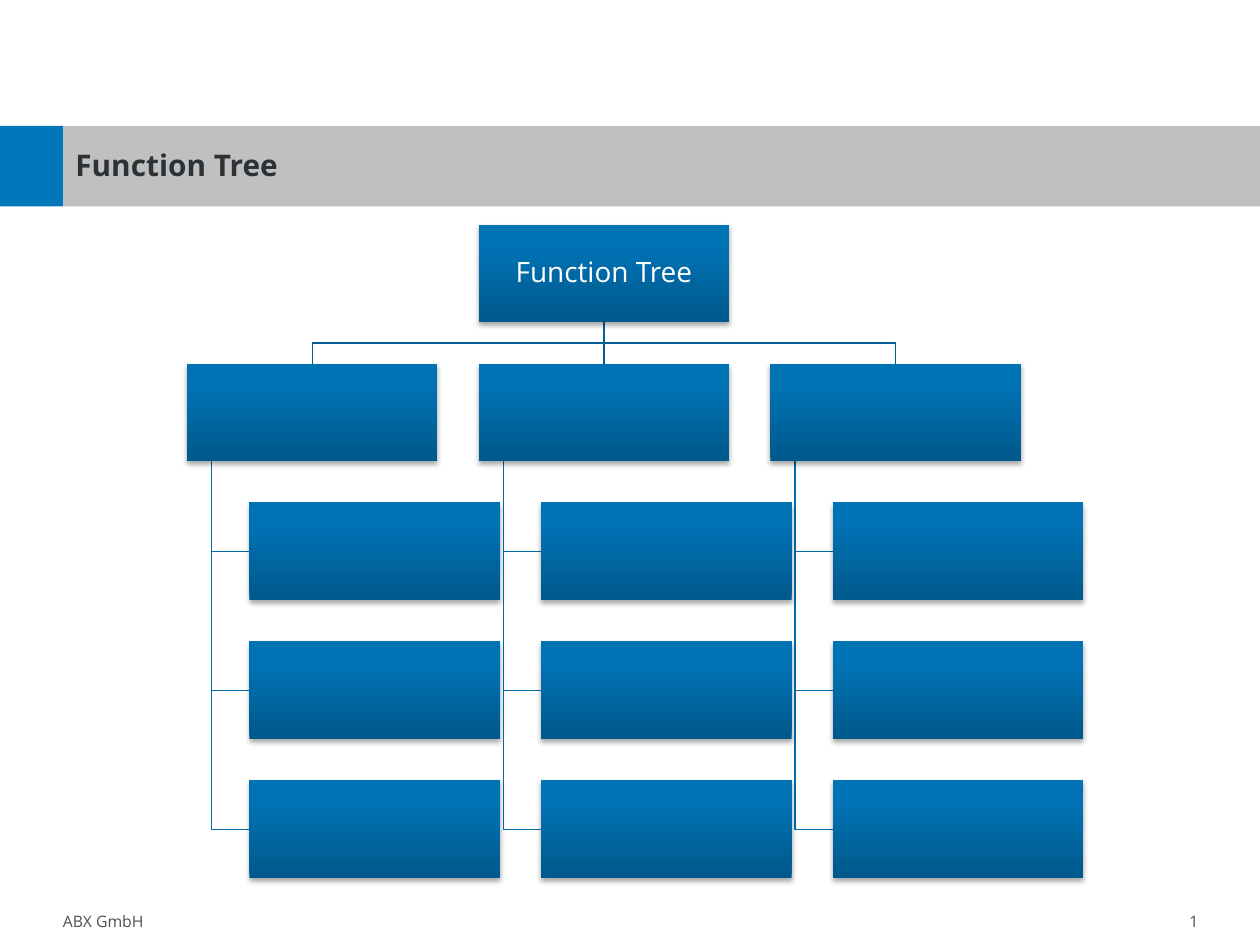
from lxml import etree
from pptx import Presentation
from pptx.dml.color import RGBColor
from pptx.enum import shapes, text
from pptx.util import Cm, Pt

NS = "http://schemas.openxmlformats.org/drawingml/2006/main"
BLUE, GREY, STEM, FORK = "0077BB", "C0C0C0", "006CAA", "005F96"
LEFT, MID, RIGHT = text.PP_ALIGN.LEFT, text.PP_ALIGN.CENTER, text.PP_ALIGN.RIGHT


def rgb(code):
    return RGBColor.from_string(code)


def grad_xml(stops, angle):
    marks = "".join(f'<a:gs pos="{pos * 1000}"><a:srgbClr val="{code}"/></a:gs>'
                    for pos, code in stops)
    return etree.fromstring(f'<a:gradFill xmlns:a="{NS}" rotWithShape="1"><a:gsLst>{marks}'
                            f'</a:gsLst><a:lin ang="{angle * 60000}" scaled="0"/></a:gradFill>')


def shade_xml(blur, dist, alpha):
    return etree.fromstring(
        f'<a:outerShdw xmlns:a="{NS}" blurRad="{Pt(blur)}" dist="{Pt(dist)}" dir="5400000" '
        f'rotWithShape="0"><a:srgbClr val="000000"><a:alpha val="{alpha * 1000}"/>'
        '</a:srgbClr></a:outerShdw>')


class Page:
    """Holds the style and the current slide; lengths are in cm."""
    font = "Open Sans"
    stops = [(0, "00598C"), (80, "0073B5"), (100, "0074B6")]

    def __init__(self, slide):
        self.shapes = slide.shapes

    def words(self, shape, words, size, color, align=LEFT, bold=False, space=None):
        frame = shape.text_frame
        frame.word_wrap = True
        frame.vertical_anchor = text.MSO_ANCHOR.MIDDLE
        frame.text = words
        para = frame.paragraphs[0]
        para.alignment, para.line_spacing = align, space
        font = para.runs[0].font
        font.name, font.size, font.bold = self.font, Pt(size), bold
        font.color.rgb = rgb(color)

    def label(self, x, y, w, h, words, size, color, **kw):
        box = self.shapes.add_textbox(Cm(x), Cm(y), Cm(w), Cm(h))
        self.words(box, words, size, color, **kw)

    def rect(self, x, y, w, h, fill):
        box = self.shapes.add_shape(shapes.MSO_SHAPE.RECTANGLE, Cm(x), Cm(y), Cm(w), Cm(h))
        box.shadow.inherit = False
        box.fill.solid()
        box.fill.fore_color.rgb = rgb(fill)
        box.line.fill.background()
        return box

    def node(self, x, y, w, h, words=""):
        box = self.rect(x, y, w, h, BLUE)
        props = box._element.spPr
        solid = props.find(f"{{{NS}}}solidFill")
        props.replace(solid, grad_xml(self.stops, 270))
        props.find(f"{{{NS}}}effectLst").append(shade_xml(3.1, 1.8, 35))
        if words:
            frame = box.text_frame
            frame.margin_left = frame.margin_right = Cm(0.03)
            frame.margin_top = frame.margin_bottom = Cm(0.03)
            self.words(box, words, 16, "FFFFFF", align=MID, space=0.9)

    def line(self, x1, y1, x2, y2, color):
        link = self.shapes.add_connector(shapes.MSO_CONNECTOR.STRAIGHT,
                                         Cm(x1), Cm(y1), Cm(x2), Cm(y2))
        link.line.color.rgb = rgb(color)
        link.line.width = Pt(0.75)
        etree.SubElement(link._element.spPr, f"{{{NS}}}effectLst")

    def bend(self, points, color):
        first, *rest = [(Cm(x), Cm(y)) for x, y in points]
        outline = self.shapes.build_freeform(*first)
        outline.add_line_segments(rest, close=False)
        shape = outline.convert_to_shape()
        shape.shadow.inherit = False
        shape.fill.background()
        shape.line.color.rgb = rgb(color)
        shape.line.width = Pt(0.75)


deck = Presentation()
deck.slide_width, deck.slide_height = Cm(25.4), Cm(19.05)
page = Page(deck.slides.add_slide(deck.slide_layouts[6]))

# Footer
page.label(17.02, 18.26, 7.39, 0.64, "1", 9, "4A5053", align=RIGHT)
page.label(1.02, 18.26, 7.39, 0.64, "ABX GmbH", 9, "4A5053")

# Title band
page.rect(1.27, 2.54, 24.13, 1.62, GREY)
page.rect(0, 2.54, 1.27, 1.62, BLUE)
page.label(1.27, 2.9, 21.84, 0.91, "Function Tree", 17, "2D3237", bold=True, space=0.9)

# Tree grid
wide, high = 5.05, 1.97
root, top = 9.65, 4.53
step, drop = 5.88, 2.8
stem, inset = 0.5, 1.26
cols = [root + n * step for n in (-1, 0, 1)]
rows = [top + n * drop for n in range(5)]
heart, base = root + wide / 2, top + high
fork = (base + rows[1]) / 2

# Links
for x in cols:
    mid = x + wide / 2
    if x == root:
        page.line(mid, base, mid, rows[1], FORK)
    else:
        page.bend([(heart, base), (heart, fork), (mid, fork), (mid, rows[1])], FORK)
    for y in rows[2:]:
        side = y + high / 2
        page.bend([(x + stem, rows[1] + high), (x + stem, side), (x + inset, side)], STEM)

# Nodes
page.node(root, top, wide, high, "Function Tree")
for x in cols:
    page.node(x, rows[1], wide, high)
    for y in rows[2:]:
        page.node(x + inset, y, wide, high)

deck.save("out.pptx")
